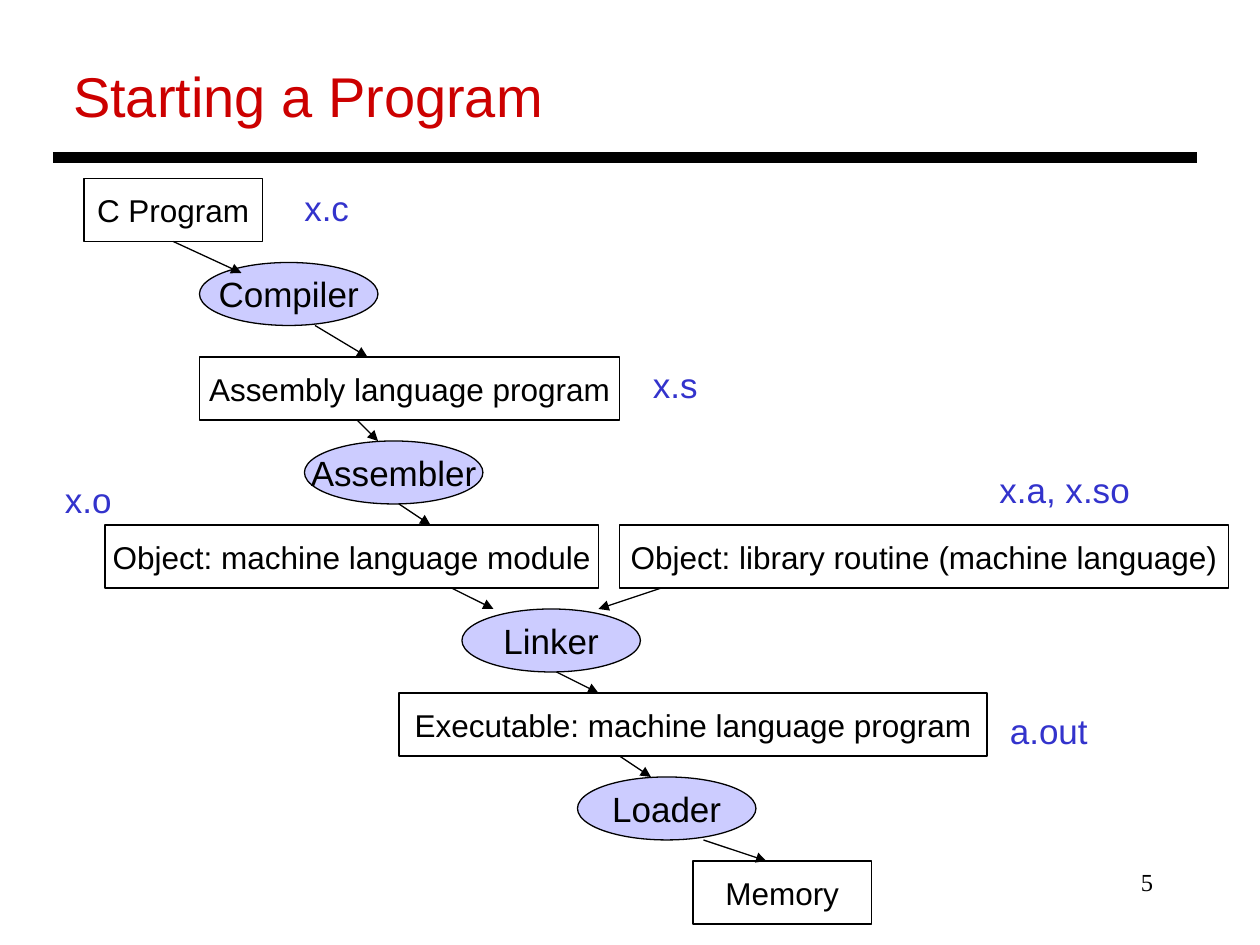
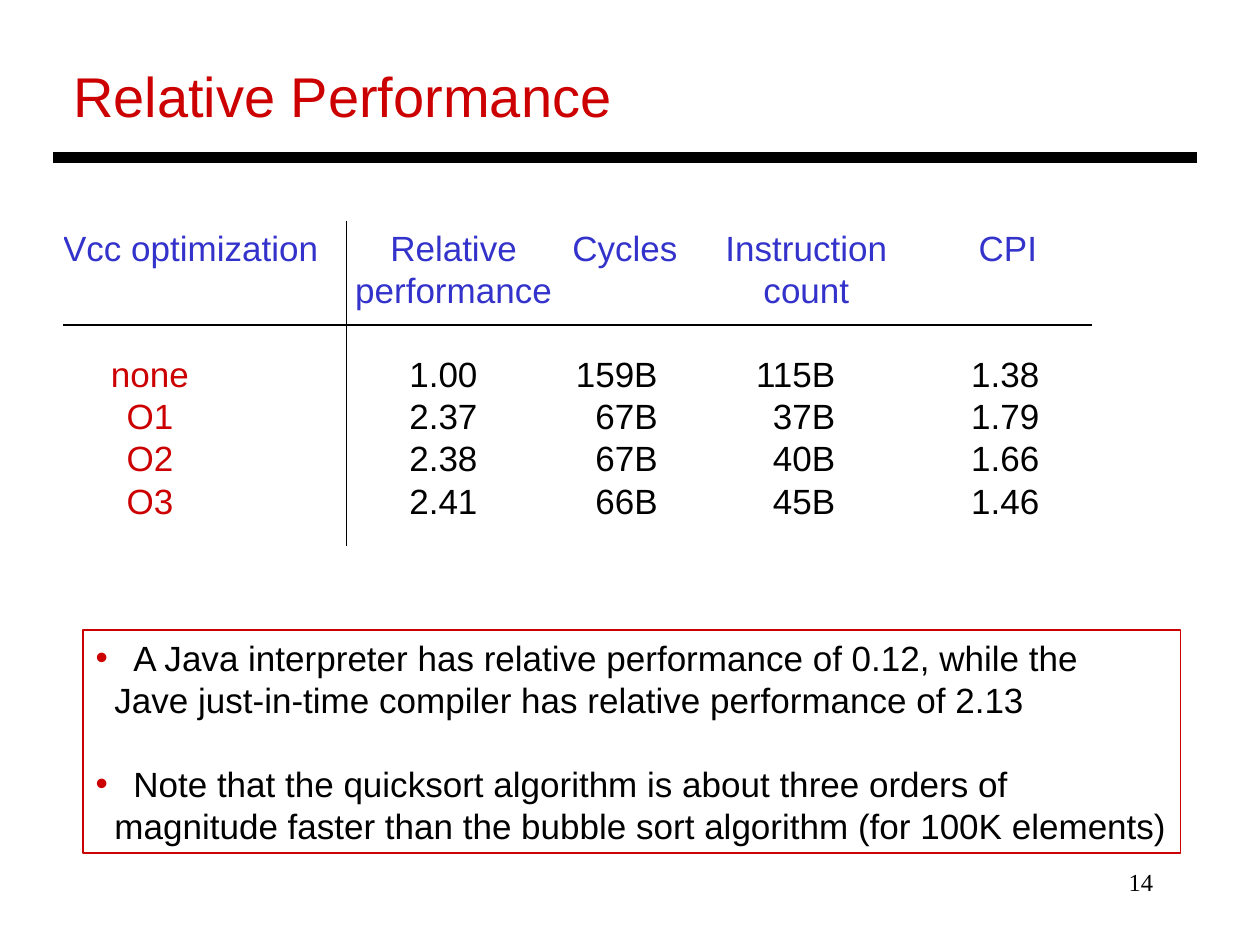
from dataclasses import dataclass

from lxml.etree import SubElement
from pptx import Presentation
from pptx.dml.color import RGBColor
from pptx.enum.shapes import MSO_CONNECTOR, MSO_SHAPE
from pptx.enum.text import MSO_ANCHOR, PP_ALIGN
from pptx.oxml.ns import qn
from pptx.util import Inches, Pt


@dataclass(frozen=True)
class Theme:
    font: str = "Arial"
    number_font: str = "Times New Roman"
    black: str = "000000"
    white: str = "FFFFFF"
    red: str = "CC0000"
    blue: str = "3333CC"
    lilac: str = "CCCCFF"
    title: int = 32
    body: int = 20
    box: int = 18
    number: int = 14
    leading: int = 24
    thin: float = 0.75
    thick: float = 6


THEME = Theme()
LEFT, CENTER, RIGHT = PP_ALIGN.LEFT, PP_ALIGN.CENTER, PP_ALIGN.RIGHT

# The flow diagram lies on a grid with twelve units to the inch.
UNIT = 1 / 12
NODE_HEIGHT = 6
TOOL_WIDTH = 17

FILES = {  # text: column, row, width
    "C Program": (8, 17, 17),
    "Assembly language program": (19, 34, 40),
    "Object: machine language module": (10, 50, 47),
    "Object: library routine (machine language)": (59, 50, 58),
    "Executable: machine language program": (38, 66, 56),
    "Memory": (66, 82, 17),
}
TOOLS = {  # text: column, row
    "Compiler": (19, 25),
    "Assembler": (29, 42),
    "Linker": (44, 58),
    "Loader": (55, 74),
}
ARROWS = [  # source, column it leaves, column and row it reaches
    ("C Program", 16.5, (23, 26)),
    ("Compiler", 30, (35, 34)),
    ("Assembly language program", 34, (36, 42)),
    ("Assembler", 38, (41, 50)),
    ("Object: machine language module", 43, (47, 58)),
    ("Object: library routine (machine language)", 63, (57, 58)),
    ("Linker", 53, (57, 66)),
    ("Executable: machine language program", 59, (62, 74)),
    ("Loader", 67, (73, 82)),
]
EXTENSIONS = {  # text: column, row, width
    "x.c": (27.8, 17.2, 9),
    "x.s": (61, 34, 9),
    "x.o": (5, 45, 9),
    "x.a, x.so": (94, 44, 18),
    "a.out": (95, 67, 12),
}

COLUMNS = [  # heading, heading alignment, width, value alignment, right margin
    ("Vcc optimization", LEFT, 2.25, CENTER, 0.87),
    ("Relative\nperformance", CENTER, 1.7, RIGHT, 0.66),
    ("Cycles", CENTER, 1.02, RIGHT, 0.25),
    ("Instruction\ncount", CENTER, 1.86, RIGHT, 0.7),
    ("CPI", CENTER, 1.34, RIGHT, 0.42),
]
RESULTS = [
    ("none", "1.00", "159B", "115B", "1.38"),
    ("O1", "2.37", "67B", "37B", "1.79"),
    ("O2", "2.38", "67B", "40B", "1.66"),
    ("O3", "2.41", "66B", "45B", "1.46"),
]
TABLE_LEFT, TABLE_TOP = 0.5, 1.75
ROW_HEIGHTS = [0.83, 0.55, 0.34, 0.34, 0.52]

REMARKS = [
    ("A Java interpreter has relative performance of 0.12, while the",
     "Jave just-in-time compiler has relative performance of 2.13"),
    ("Note that the quicksort algorithm is about three orders of",
     "magnitude faster than the bubble sort algorithm (for 100K elements)"),
]


def rgb(color):
    return RGBColor.from_string(color)


def inches(*lengths):
    return [Inches(length) for length in lengths]


def on_grid(*units):
    return [unit * UNIT for unit in units]


def write(frame, text, size=THEME.body, color=THEME.black, font=THEME.font,
          align=LEFT, anchor=MSO_ANCHOR.TOP, wrap=True, leading=None):
    """Fill a text frame, one paragraph for each line of the text."""
    frame.word_wrap = wrap
    frame.vertical_anchor = anchor
    frame.text = text
    for paragraph in frame.paragraphs:
        paragraph.alignment = align
        if leading:
            paragraph.line_spacing = Pt(leading)
        style = paragraph.runs[0].font
        style.name, style.size, style.bold = font, Pt(size), False
        style.color.rgb = rgb(color)


def add_label(slide, box, text, **text_format):
    label = slide.shapes.add_textbox(*inches(*box))
    write(label.text_frame, text, **text_format)


def add_outlined(slide, kind, box, fill=None, line=THEME.black):
    shape = slide.shapes.add_shape(kind, *inches(*box))
    shape.shadow.inherit = False
    if fill:
        shape.fill.solid()
        shape.fill.fore_color.rgb = rgb(fill)
    else:
        shape.fill.background()
    shape.line.color.rgb = rgb(line)
    shape.line.width = Pt(THEME.thin)
    return shape


def add_line(slide, start, end, width=THEME.thin, arrow=False):
    line = slide.shapes.add_connector(
        MSO_CONNECTOR.STRAIGHT, *inches(*start, *end))
    line.line.color.rgb = rgb(THEME.black)
    line.line.width = Pt(width)
    properties = line._element.spPr
    if arrow:
        SubElement(properties.find(qn("a:ln")), qn("a:tailEnd"), type="triangle")
    SubElement(properties, qn("a:effectLst"))
    return line


def add_titled_slide(deck, title, number):
    slide = deck.slides.add_slide(deck.slide_layouts[5])
    heading = slide.shapes.title
    heading.left, heading.top, heading.width, heading.height = inches(
        0.48, 0.44, 9, 0.64)
    write(heading.text_frame, title, size=THEME.title, color=THEME.red)
    add_line(slide, (0.42, 1.25), (9.5, 1.25), width=THEME.thick)
    add_label(slide, (7.17, 6.83, 2.08, 0.5), number, size=THEME.number,
              font=THEME.number_font, align=RIGHT)
    return slide


def add_flow(slide):
    nodes = {}

    def add_node(kind, text, column, row, width, fill, size):
        box = on_grid(column, row, width, NODE_HEIGHT)
        nodes[text] = add_outlined(slide, kind, box, fill)
        write(nodes[text].text_frame, text, size=size, align=CENTER,
              anchor=MSO_ANCHOR.MIDDLE, wrap=False)

    for text, place in FILES.items():
        add_node(MSO_SHAPE.RECTANGLE, text, *place, THEME.white, THEME.box)
    for text, place in TOOLS.items():
        add_node(MSO_SHAPE.OVAL, text, *place, TOOL_WIDTH, THEME.lilac, THEME.body)

    for source, leaves, reaches in ARROWS:
        column, row, *width = FILES.get(source) or TOOLS[source]
        arrow = add_line(slide, on_grid(leaves, row + NODE_HEIGHT),
                         on_grid(*reaches), arrow=True)
        if width and leaves == column + width[0] / 2:
            arrow.begin_connect(nodes[source], 2)

    for text, place in EXTENSIONS.items():
        add_label(slide, on_grid(*place, 5.3), text, color=THEME.blue)


def add_results(slide):
    widths = [column[2] for column in COLUMNS]
    right, bottom = TABLE_LEFT + sum(widths), TABLE_TOP + sum(ROW_HEIGHTS)
    table = slide.shapes.add_table(
        len(ROW_HEIGHTS), len(COLUMNS),
        *inches(TABLE_LEFT, TABLE_TOP, sum(widths), sum(ROW_HEIGHTS))).table
    table.first_row = table.horz_banding = False
    for row, height in zip(table.rows, ROW_HEIGHTS):
        row.height = Inches(height)

    for c, (heading, heading_align, width, align, margin) in enumerate(COLUMNS):
        table.columns[c].width = Inches(width)
        texts = [heading] + [result[c] for result in RESULTS]
        for r, text in enumerate(texts):
            cell = table.cell(r, c)
            cell.fill.background()
            cell.margin_left = cell.margin_bottom = 0
            cell.margin_top = Inches(0 if r else 0.05)
            cell.margin_right = Inches(margin if r else 0)
            color = THEME.blue if r == 0 else THEME.black if c else THEME.red
            write(cell.text_frame, text, color=color, leading=THEME.leading,
                  align=align if r else heading_align)
            cell.vertical_anchor = MSO_ANCHOR.BOTTOM if r == 1 else MSO_ANCHOR.TOP

    under_headings = TABLE_TOP + ROW_HEIGHTS[0]
    after_labels = TABLE_LEFT + widths[0]
    add_line(slide, (TABLE_LEFT, under_headings), (right, under_headings))
    add_line(slide, (after_labels, TABLE_TOP), (after_labels, bottom))


def add_remarks(slide):
    panel = add_outlined(slide, MSO_SHAPE.RECTANGLE, (0.66, 5, 8.71, 1.77),
                         line=THEME.red)
    frame = panel.text_frame
    frame.margin_right = 0
    write(frame, "\n".join(line for remark in REMARKS for line in remark),
          leading=THEME.leading)
    for i, paragraph in enumerate(frame.paragraphs):
        properties = paragraph._p.get_or_add_pPr()
        if i % 2:
            properties.set("marL", str(Inches(0.15)))
            continue
        paragraph.space_before = Pt(THEME.leading if i else 0)
        properties.set("marL", str(Inches(0.3)))
        properties.set("indent", str(Inches(-0.3)))
        bullet_color = SubElement(properties, qn("a:buClr"))
        SubElement(bullet_color, qn("a:srgbClr"), val=THEME.red)
        SubElement(properties, qn("a:buFont"), typeface=THEME.font)
        SubElement(properties, qn("a:buChar"), char="•")


def main():
    deck = Presentation()
    deck.slide_width, deck.slide_height = inches(10, 7.5)
    add_flow(add_titled_slide(deck, "Starting a Program", "5"))
    performance = add_titled_slide(deck, "Relative Performance", "14")
    add_results(performance)
    add_remarks(performance)
    deck.save("out.pptx")


if __name__ == "__main__":
    main()
